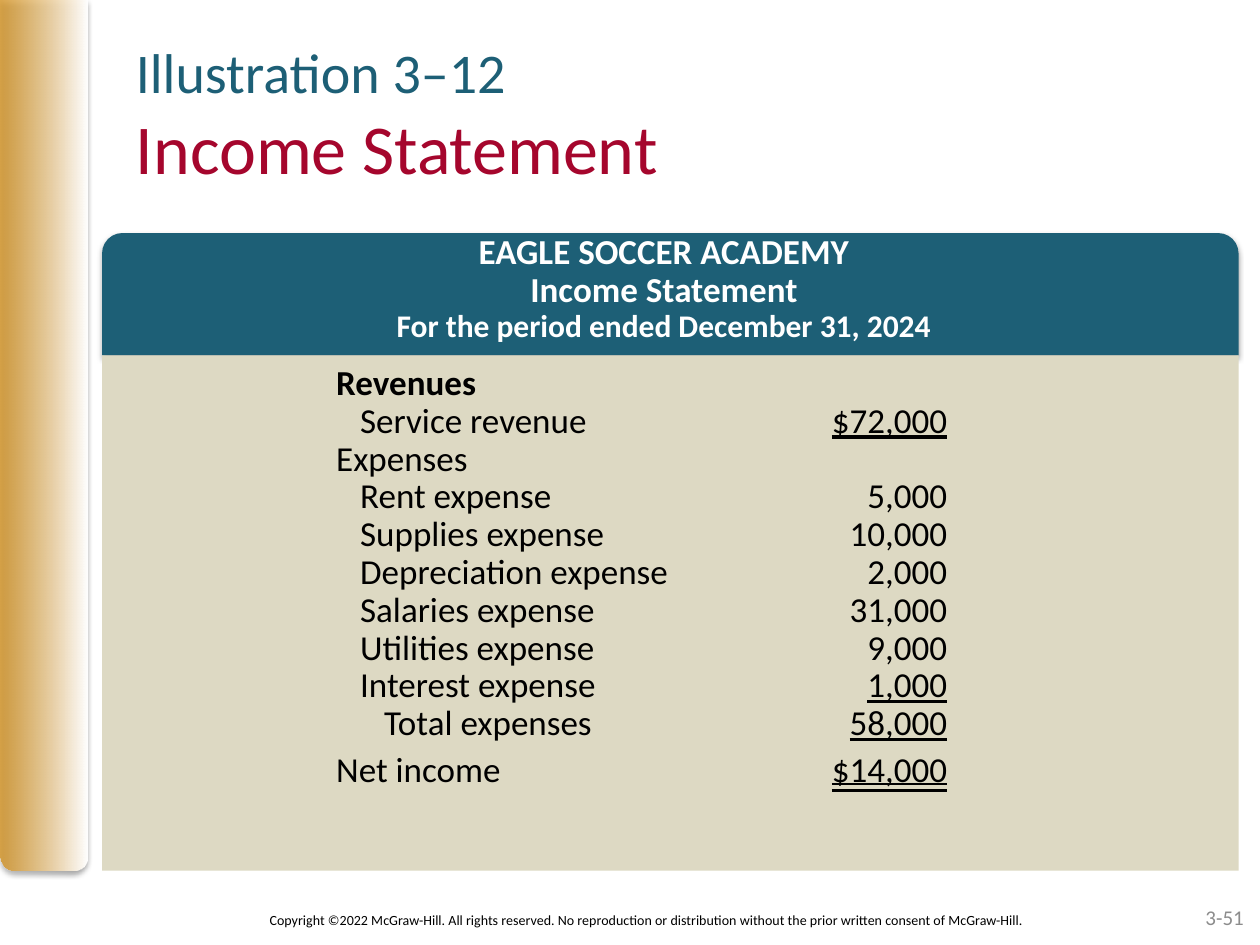
from lxml import etree
from pptx import Presentation
from pptx.dml.color import RGBColor
from pptx.enum import shapes, text
from pptx.oxml.ns import qn
from pptx.util import Inches, Pt

TEAL = RGBColor(0x1D, 0x5F, 0x76)
CRIMSON = RGBColor(0xA5, 0x06, 0x2D)
GOLD = RGBColor(0xD4, 0x93, 0x23)
SAND = RGBColor(0xDD, 0xD9, 0xC3)
GRAY = RGBColor(0x8C, 0x8C, 0x8C)
BLACK = RGBColor(0, 0, 0)
WHITE = RGBColor(255, 255, 255)

LEFT, CENTER, RIGHT = text.PP_ALIGN.LEFT, text.PP_ALIGN.CENTER, text.PP_ALIGN.RIGHT
TOP, MIDDLE = text.MSO_ANCHOR.TOP, text.MSO_ANCHOR.MIDDLE
SINGLE = text.MSO_UNDERLINE.SINGLE_LINE
DOUBLE = text.MSO_UNDERLINE.DOUBLE_LINE

TITLE = [("Illustration 3–12", 32, TEAL), ("Income Statement", 40, CRIMSON)]
HEADING = [
    ("EAGLE SOCCER ACADEMY", 20),
    ("Income Statement", 20),
    ("For the period ended December 31, 2024", 18),
]
# indent level, label, amount, underline
STATEMENT = [
    (0, "Revenues", None, None),
    (1, "Service revenue", "$72,000", SINGLE),
    (0, "Expenses", None, None),
    (1, "Rent expense", "5,000", None),
    (1, "Supplies expense", "10,000", None),
    (1, "Depreciation expense", "2,000", None),
    (1, "Salaries expense", "31,000", None),
    (1, "Utilities expense", "9,000", None),
    (1, "Interest expense", "1,000", SINGLE),
    (2, "Total expenses", "58,000", SINGLE),
    (0, "Net income", "$14,000", DOUBLE),
]
# two indents, then the left and right edges of the amount column
TAB_STOPS = [(0.19, "l"), (0.38, "l"), (3.9, "l"), (4.85, "r")]
COPYRIGHT = ("Copyright ©2022 McGraw-Hill. All rights reserved. No reproduction or "
             "distribution without the prior written consent of McGraw-Hill.")
PAGE_NUMBER = "3-51"


def add_panel(slide, kind, box):
    shape = slide.shapes.add_shape(kind, *map(Inches, box))
    shape.line.fill.background()
    shape.shadow.inherit = False
    return shape


def add_shadow(shape):
    effects = shape._element.spPr.find(qn("a:effectLst"))
    shadow = etree.SubElement(effects, qn("a:outerShdw"), blurRad=str(Pt(3.1)),
                              dist=str(Pt(1.8)), dir="5400000", rotWithShape="0")
    color = etree.SubElement(shadow, qn("a:srgbClr"), val="000000")
    etree.SubElement(color, qn("a:alpha"), val="35000")


def add_frame(slide, box, anchor=TOP):
    frame = slide.shapes.add_textbox(*map(Inches, box)).text_frame
    frame.word_wrap = True
    frame.vertical_anchor = anchor
    return frame


def next_paragraph(frame, index):
    return frame.add_paragraph() if index else frame.paragraphs[0]


def style(paragraph, size, color, bold=False, align=LEFT, spacing=1.0):
    paragraph.alignment = align
    paragraph.line_spacing = spacing
    font = paragraph.font
    font.name, font.size, font.bold = "Calibri", Pt(size), bold
    font.color.rgb = color


def add_tab_stops(paragraph):
    tabs = etree.SubElement(paragraph._p.get_or_add_pPr(), qn("a:tabLst"))
    for position, align in TAB_STOPS:
        etree.SubElement(tabs, qn("a:tab"), pos=str(Inches(position)), algn=align)


def add_title(slide):
    paragraph = add_frame(slide, (0.98, 0.07, 9, 1.66), MIDDLE).paragraphs[0]
    style(paragraph, 40, CRIMSON)
    for index, (line, size, color) in enumerate(TITLE):
        if index:
            paragraph.add_line_break()
        run = paragraph.add_run()
        run.text = line
        run.font.size = Pt(size)
        run.font.color.rgb = color


def add_side_bar(slide):
    bar = add_panel(slide, shapes.MSO_SHAPE.ROUND_2_SAME_RECTANGLE, (0, 0, 0.69, 6.91))
    bar._element.spPr.find(qn("a:xfrm")).set("flipV", "1")
    bar.fill.gradient()
    bar.fill.gradient_angle = 0
    for stop, color, position in zip(bar.fill.gradient_stops, (GOLD, WHITE), (0, 1)):
        stop.color.rgb = color
        stop.position = position
    gold = next(bar._element.spPr.iter(qn("a:srgbClr")))
    etree.SubElement(gold, qn("a:alpha"), val="80000")
    add_shadow(bar)


def add_footer(slide, box, words, size, color, align):
    paragraph = add_frame(slide, box, MIDDLE).paragraphs[0]
    paragraph.text = words
    style(paragraph, size, color, align=align)


def add_statement(slide):
    header = add_panel(slide, shapes.MSO_SHAPE.ROUND_2_SAME_RECTANGLE,
                       (0.81, 1.85, 9.02, 0.97))
    header.fill.solid()
    header.fill.fore_color.rgb = TEAL
    add_shadow(header)
    body = add_panel(slide, shapes.MSO_SHAPE.RECTANGLE, (0.81, 2.82, 9.02, 4.09))
    body.fill.solid()
    body.fill.fore_color.rgb = SAND

    frame = add_frame(slide, (2.97, 1.81, 4.6, 0.98))
    for index, (line, size) in enumerate(HEADING):
        paragraph = next_paragraph(frame, index)
        paragraph.text = line
        style(paragraph, size, WHITE, bold=True, align=CENTER, spacing=0.9)

    frame = add_frame(slide, (2.57, 2.85, 5.56, 3.48))
    for index, (level, label, amount, underline) in enumerate(STATEMENT):
        paragraph = next_paragraph(frame, index)
        add_tab_stops(paragraph)
        style(paragraph, 20, BLACK, bold=index == 0,
              spacing=1.1 if underline == DOUBLE else 0.9)
        paragraph.add_run().text = "\t" * level + label
        if amount:
            paragraph.add_run().text = "\t"
            run = paragraph.add_run()
            run.text = "\t" + amount
            run.font.underline = underline


def main():
    presentation = Presentation()
    presentation.slide_width, presentation.slide_height = Inches(10), Inches(7.5)
    slide = presentation.slides.add_slide(presentation.slide_layouts[6])
    add_title(slide)
    add_side_bar(slide)
    add_footer(slide, (7.64, 7.08, 2.33, 0.4), PAGE_NUMBER, 12, GRAY, RIGHT)
    add_footer(slide, (1.56, 7.1, 7.15, 0.4), COPYRIGHT, 8, BLACK, CENTER)
    add_statement(slide)
    presentation.save("out.pptx")


if __name__ == "__main__":
    main()
